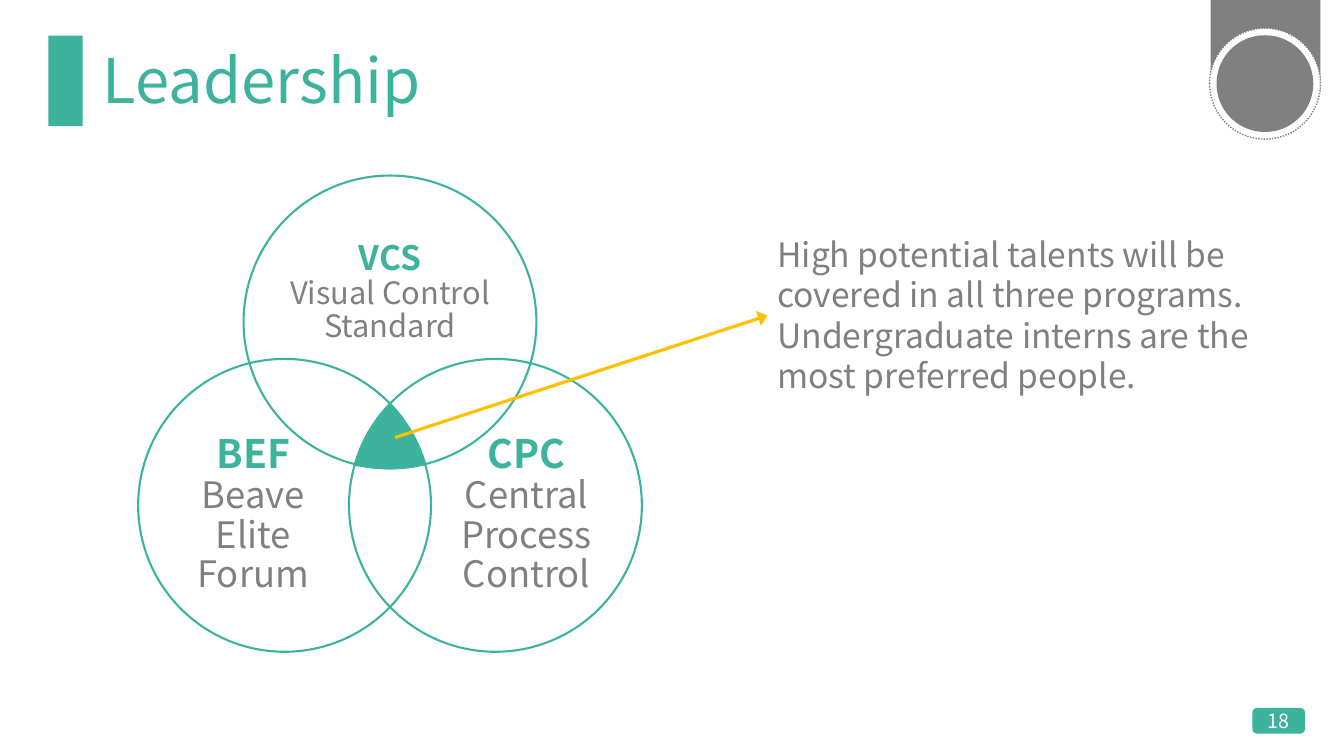
from math import cos, radians, sin
from lxml import etree
from pptx import Presentation
from pptx.dml.color import RGBColor
from pptx.enum.dml import MSO_LINE as Dash
from pptx.enum.shapes import MSO_CONNECTOR as Conn, MSO_SHAPE as Kind
from pptx.enum.text import MSO_ANCHOR as Anchor, MSO_AUTO_SIZE as Fit, PP_ALIGN as Align
from pptx.oxml.ns import qn
from pptx.util import Pt

# Content
TITLE = "Leadership"
NOTE = ("High potential talents will be covered in all three programs. "
        "Undergraduate interns are the most preferred people.")
PAGE = "18"
# Circle centre, angle towards the core, code, full name, code size, name size, label box
RINGS = [
    ((203.3, 361), -30, "BEF", "Beave Elite Forum", 28, 26, (118.3, 310.3, 125.3, 115.2)),
    ((278.6, 230), 90, "VCS", "Visual Control Standard", 24, 22, (201.9, 162, 153.4, 94.3)),
    ((353.9, 361), 210, "CPC", "Central Process Control", 28, 26, (313.5, 310.3, 125.3, 115.2)),
]
RADIUS = 104.6
FONT = "Noto Sans CJK SC"
GREEN, GREY, WHITE, GOLD = "3DB39E", "808080", "FFFFFF", "FFC000"


def paint(fmt, color):
    fmt.solid()
    fmt.fore_color.rgb = RGBColor.from_string(color)


def style(shape, fill=None, line=None, width=1):
    shape.shadow.inherit = False
    if fill:
        paint(shape.fill, fill)
    else:
        shape.fill.background()
    if line:
        paint(shape.line.fill, line)
        shape.line.width = Pt(width)
    else:
        shape.line.fill.background()
    return shape


def add(kind, box, **look):
    return style(slide.shapes.add_shape(kind, *map(Pt, box)), **look)


def write(para, text, size, color, bold=False):
    run = para.add_run()
    run.text = text
    run.font.name, run.font.size, run.font.bold = FONT, Pt(size), bold
    paint(run.font.fill, color)


def frame(shape, inset=None):
    body = shape.text_frame
    body.word_wrap = True
    body.vertical_anchor = Anchor.MIDDLE
    if inset is not None:
        body.margin_left = body.margin_right = Pt(inset)
        body.margin_top = body.margin_bottom = Pt(inset)
    return body


deck = Presentation()
deck.slide_width, deck.slide_height = Pt(960), Pt(540)
slide = deck.slides.add_slide(deck.slide_layouts[5])

# Title and its bar
add(Kind.RECTANGLE, (34.6, 25.4, 24.5, 64.8), fill=GREEN)
title = slide.shapes.title
title.left, title.top, title.width, title.height = map(Pt, (66.2, 28.8, 828, 61.2))
para = frame(title).paragraphs[0]
para.alignment, para.line_spacing = Align.LEFT, 0.9
write(para, TITLE, 44, GREEN)

# Corner badge
add(Kind.RECTANGLE, (864.7, 0, 78.5, 65.5), fill=GREY)
rim = add(Kind.OVAL, (864, 20.2, 79.2, 79.2), fill=WHITE, line=GREY)
rim.line.dash_style = Dash.ROUND_DOT
add(Kind.OVAL, (869, 25.2, 69.1, 69.1), fill=GREY)

# Page number
tag = add(Kind.ROUNDED_RECTANGLE, (895, 506.2, 36.7, 17.3), fill=GREEN, line=GREEN)
para = frame(tag, 0).paragraphs[0]
para.alignment = Align.CENTER
write(para, PAGE, 14, WHITE)

# Circles and labels, gathering the arc of each circle that bounds the core
core = []
for (x, y), aim, code, name, big, small, box in RINGS:
    add(Kind.OVAL, (x - RADIUS, y - RADIUS, 2 * RADIUS, 2 * RADIUS), line=GREEN, width=1.5)
    para = frame(slide.shapes.add_textbox(*map(Pt, box)), 0).paragraphs[0]
    para.alignment, para.line_spacing = Align.CENTER, 0.9
    write(para, code, big, GREEN, True)
    para.add_line_break()
    write(para, name, small, GREY)
    for swing in (-14, -7, 0, 7):
        turn = radians(aim + swing)
        core.append((Pt(x + RADIUS * cos(turn)), Pt(y + RADIUS * sin(turn))))

# Shared core
edge = slide.shapes.build_freeform(*core[0], scale=1.0)
edge.add_line_segments(core[1:], close=True)
style(edge.convert_to_shape(), fill=GREEN, line=GREEN, width=1.5)

# Note, with an arrow from the core to its left side
note = slide.shapes.add_textbox(*map(Pt, (548.2, 163.5, 378.7, 123.8)))
body = frame(note)
body.vertical_anchor = Anchor.TOP
body.auto_size = Fit.SHAPE_TO_FIT_TEXT
write(body.paragraphs[0], NOTE, 24, GREY)

arrow = slide.shapes.add_connector(Conn.STRAIGHT, *map(Pt, (282.2, 312.5, 548.2, 225.4)))
arrow.end_connect(note, 1)
paint(arrow.line.fill, GOLD)
arrow.line.width = Pt(2.25)
etree.SubElement(arrow.line._get_or_add_ln(), qn("a:tailEnd"), type="triangle", w="lg", len="med")
etree.SubElement(arrow._element.spPr, qn("a:effectLst"))

deck.save("out.pptx")
